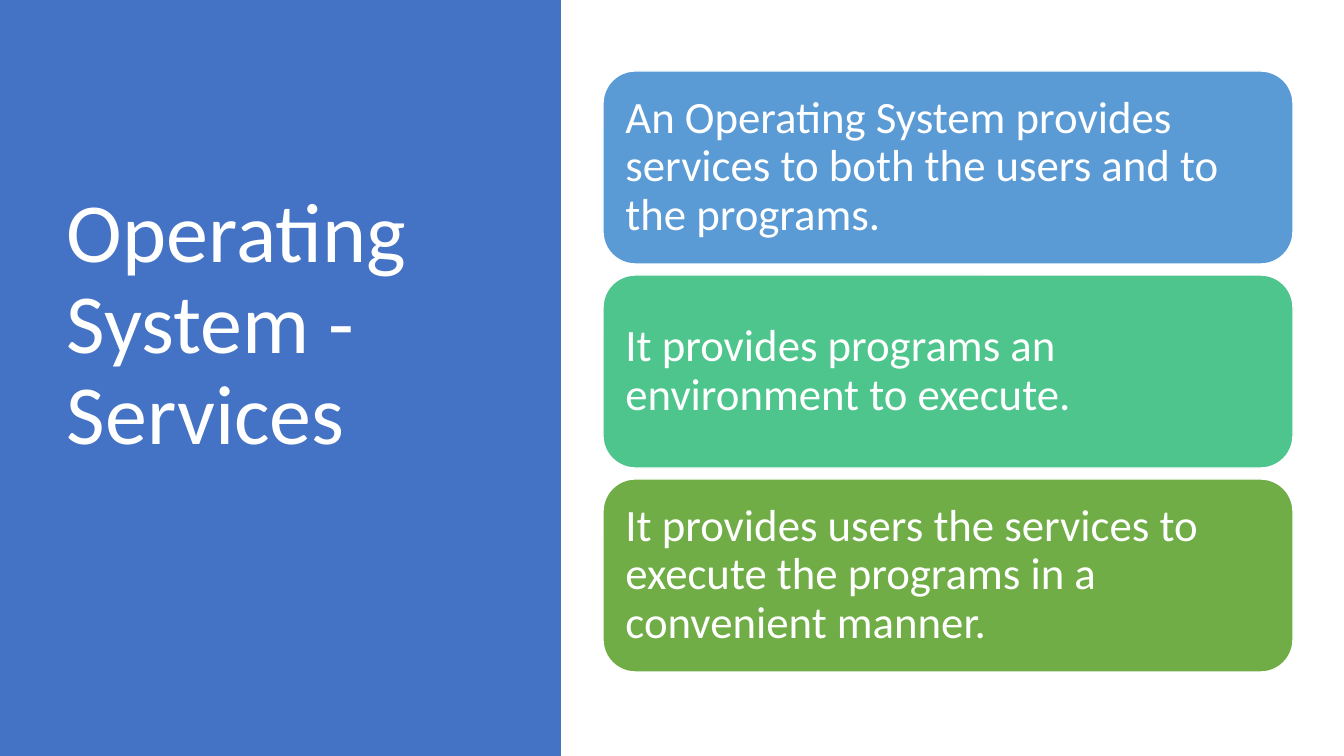
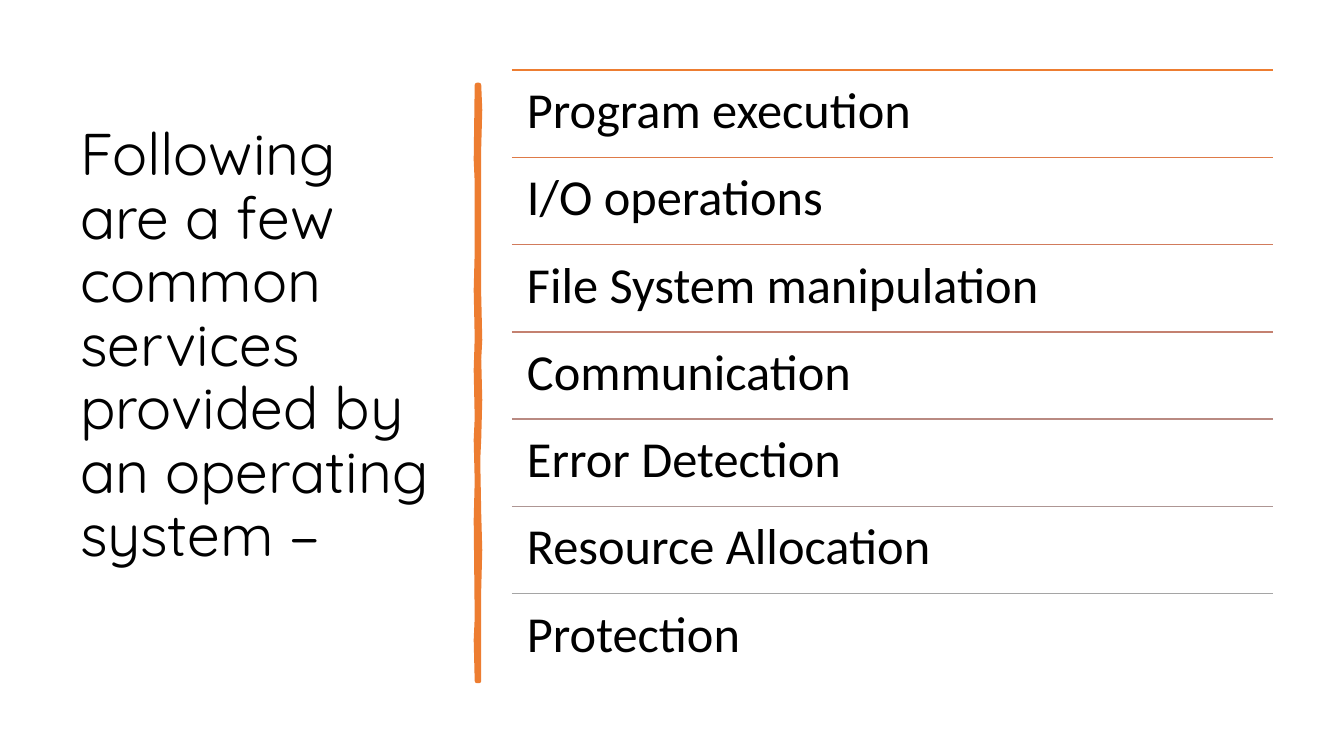
import pptx
import pptx.util
import pptx.dml.color
import pptx.enum.shapes
import pptx.enum.text
import pptx.oxml.ns
import lxml.etree

PX = 914400 / 100.8
COLORS = {"panel": "4472C4", "white": "FFFFFF", "black": "000000", "accent": "ED7D31"}
BARS = [
    ("5B9BD5", "An Operating System provides services to both the users and to the programs."),
    ("4DC58D", "It provides programs an environment to execute."),
    ("70AD47", "It provides users the services to execute the programs in a convenient manner."),
]
ROWS = [
    ("ED7D31", "Program execution"),
    ("DE7A47", "I/O operations"),
    ("D17B5C", "File System manipulation"),
    ("C48170", "Communication"),
    ("B98A82", "Error Detection"),
    ("AE9694", "Resource Allocation"),
    ("A5A5A5", "Protection"),
]
STROKE_RIGHT = [(3, 0), (4, 25), (3, 62), (3, 211), (4, 255), (3, 274), (4, 315), (3, 354),
                (2, 375), (3, 429), (4, 465), (3, 504), (3, 596)]
STROKE_LEFT = [(1, 596), (0, 555), (1, 533), (0, 435), (1, 396), (0, 355), (1, 333), (0, 285),
               (1, 253), (0, 205), (1, 167), (1, 97), (0, 75), (1, 0)]


def px(n):
    """Turn pixels into EMU."""
    return pptx.util.Emu(round(n * PX))


def rgb(value):
    """Make a colour from a hex string."""
    return pptx.dml.color.RGBColor.from_string(value)


def write(sp, text, size, color, inset, font="Calibri", anchor="MIDDLE", bottom=None):
    """Put one left-aligned paragraph in a shape."""
    tf = sp.text_frame
    tf.text = text
    frame = {
        "word_wrap": True,
        "auto_size": pptx.enum.text.MSO_AUTO_SIZE.NONE,
        "vertical_anchor": pptx.enum.text.MSO_ANCHOR[anchor],
        "margin_left": px(inset),
        "margin_right": px(inset),
        "margin_top": px(inset if bottom is None else 5),
        "margin_bottom": px(inset if bottom is None else bottom),
    }
    p = tf.paragraphs[0]
    para = {"alignment": pptx.enum.text.PP_ALIGN.LEFT, "line_spacing": 0.9}
    r = p.runs[0]
    run = {"name": font, "size": pptx.util.Pt(size)}
    for target, values in ((tf, frame), (p, para), (r.font, run)):
        for name, value in values.items():
            setattr(target, name, value)
    r.font.color.rgb = rgb(color)


def paint(sp, fill, line=None, width=1):
    """Give a shape a flat fill and an optional outline."""
    sp.shadow.inherit = False
    sp.fill.solid()
    sp.fill.fore_color.rgb = rgb(fill)
    if line:
        sp.line.color.rgb = rgb(line)
        sp.line.width = pptx.util.Pt(width)
    else:
        sp.line.fill.background()


def add_title(s, box, text, size, color, bottom, font="Calibri"):
    """Place and format the title placeholder, in front of what is there."""
    sp = s.shapes.title
    sp.left, sp.top, sp.width, sp.height = map(px, box)
    write(sp, text, size, color, 10, font, bottom=bottom)
    s.shapes._spTree.append(sp._element)


def add_panel(s, box):
    """Draw the solid side panel."""
    sp = s.shapes.add_shape(pptx.enum.shapes.MSO_SHAPE.RECTANGLE, *map(px, box))
    paint(sp, COLORS["panel"])


def add_bars(s, box, gap):
    """Stack rounded text bars evenly in the box."""
    x, y, w, h = box
    height = (h - gap * (len(BARS) - 1)) / len(BARS)
    for i, (fill, text) in enumerate(BARS):
        sp = s.shapes.add_shape(pptx.enum.shapes.MSO_SHAPE.ROUNDED_RECTANGLE,
                                px(x), px(y + i * (height + gap)), px(w), px(height))
        paint(sp, fill, COLORS["white"])
        write(sp, text, 32, COLORS["white"], 13)


def add_stroke(s, x, y):
    """Draw the uneven vertical brush stroke."""
    points = [(x + dx, y + dy) for dx, dy in STROKE_RIGHT + STROKE_LEFT]
    builder = s.shapes.build_freeform(*points[0], scale=PX)
    builder.add_line_segments(points[1:], close=True)
    sp = builder.convert_to_shape()
    paint(sp, COLORS["accent"], COLORS["accent"], 3.25)
    lxml.etree.SubElement(sp.line._get_or_add_ln(), pptx.oxml.ns.qn("a:round"))


def add_rows(s, box):
    """List the services, each under its own rule."""
    x, y, w, h = box
    height = h / len(ROWS)
    for i, (color, text) in enumerate(ROWS):
        top = y + i * height
        rule = s.shapes.add_connector(pptx.enum.shapes.MSO_CONNECTOR.STRAIGHT,
                                      px(x), px(top), px(x + w), px(top))
        rule.line.color.rgb = rgb(color)
        rule.line.width = pptx.util.Pt(1)
        lxml.etree.SubElement(rule._element.spPr, pptx.oxml.ns.qn("a:effectLst"))
        sp = s.shapes.add_textbox(px(x), px(top), px(w), px(height))
        write(sp, text, 36, COLORS["black"], 15, anchor="TOP")


def panel_slide(prs):
    """Build the slide with a title panel and three bars."""
    s = prs.slides.add_slide(prs.slide_layouts[5])
    add_panel(s, (0, 0, 561, 756))
    add_title(s, (57, 69, 419, 607), "Operating System - Services", 60, COLORS["white"], 97)
    add_bars(s, (603, 71, 690, 601), 11)


def list_slide(prs):
    """Build the slide with a title, a brush stroke and ruled rows."""
    s = prs.slides.add_slide(prs.slide_layouts[5])
    add_title(s, (70, 71, 377, 616),
              "Following are a few common services provided by an operating system −",
              42, COLORS["black"], 69, "Quicksand")
    add_stroke(s, 476, 85)
    add_rows(s, (512, 70, 761, 611))


def main():
    """Build and save the presentation."""
    prs = pptx.Presentation()
    prs.slide_width, prs.slide_height = px(1344), px(756)
    panel_slide(prs)
    list_slide(prs)
    prs.save("out.pptx")


main()
